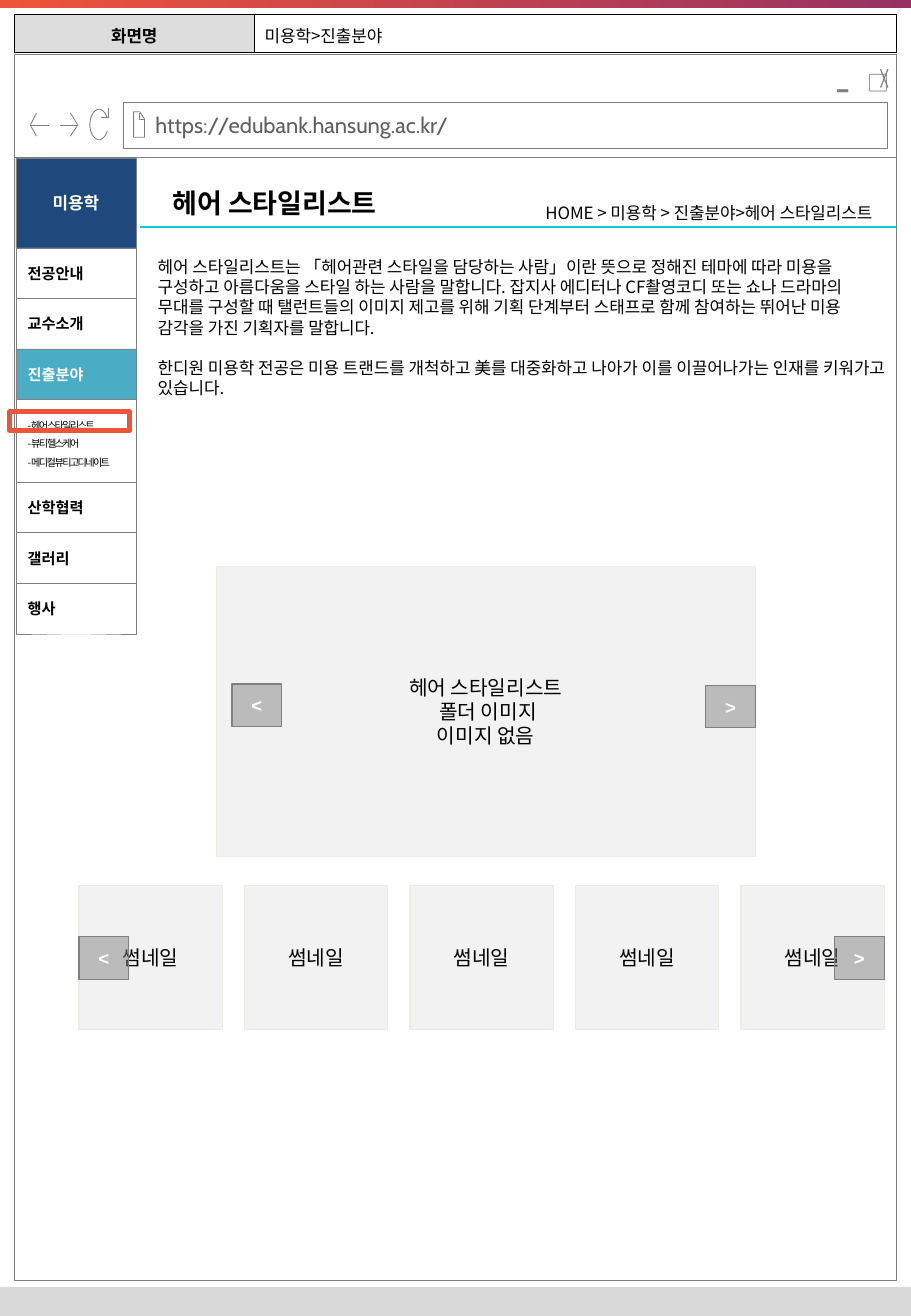
from dataclasses import dataclass
from math import cos, radians, sin

from lxml.etree import SubElement
from pptx import Presentation
from pptx.dml.color import RGBColor as Rgb
from pptx.enum.shapes import MSO_CONNECTOR as Connector, MSO_SHAPE as Preset
from pptx.enum.text import MSO_ANCHOR as Anchor, MSO_AUTO_SIZE as AutoSize, PP_ALIGN as Align
from pptx.oxml.ns import qn
from pptx.util import Inches, Pt


@dataclass(frozen=True)
class Theme:
    font: str = "Noto Sans CJK KR"
    url_font: str = "Cabin"
    arrow_font: str = "Arial"
    black: str = "000000"
    white: str = "FFFFFF"
    grey: str = "808080"
    url_grey: str = "5F5F5F"
    header: str = "DDDDDD"
    footer: str = "D9D9D9"
    panel: str = "F2F2F2"
    panel_edge: str = "EEECE1"
    navy: str = "1F497D"
    active: str = "4BACC6"
    rule: str = "06CFD4"
    orange: str = "EE543A"
    purple: str = "973163"
    title: int = 16
    url: int = 13
    label: int = 12
    arrow: int = 11
    body: int = 10
    menu: int = 9
    submenu: int = 6
    minimise: int = 26


theme = Theme()

# The grid: 750 columns by 1083 rows, each a hundredth of an inch
COLUMNS, ROWS = 750, 1083
CELL = Inches(0.01)
deck = Presentation()
deck.slide_width, deck.slide_height = COLUMNS * CELL, ROWS * CELL
page = deck.slides.add_slide(deck.slide_layouts[5])


def write(frame, *lines, size=theme.body, color=theme.black, font=theme.font, bold=False,
          align=Align.LEFT, leading=None, gap=0, tracking=None):
    for index, line in enumerate(lines):
        para = frame.paragraphs[0] if index == 0 else frame.add_paragraph()
        para.alignment = align
        if leading:
            para.line_spacing = leading
        if index and gap:
            para.space_before = Pt(gap)
        span = para.add_run()
        span.text = line
        span.font.size, span.font.bold = Pt(size), bold
        span.font.color.rgb = Rgb.from_string(color)
        span.font.name = font
        properties = span.font._element
        SubElement(properties, qn("a:ea")).set("typeface", font)
        if tracking:
            properties.set("spc", str(tracking))


def add_box(col, row, cols, rows, fill=None, line=None, weight=0.5, plain=False, anchor=Anchor.MIDDLE):
    area = [int(CELL * length) for length in (col, row, cols, rows)]
    if plain:
        box = page.shapes.add_textbox(*area)
    else:
        box = page.shapes.add_shape(Preset.RECTANGLE, *area)
        box.shadow.inherit = False
    if fill:
        box.fill.solid()
        box.fill.fore_color.rgb = Rgb.from_string(fill)
    else:
        box.fill.background()
    if line:
        box.line.color.rgb = Rgb.from_string(line)
        box.line.width = Pt(weight)
    else:
        box.line.fill.background()
    box.text_frame.word_wrap = True
    box.text_frame.vertical_anchor = anchor
    return box


# Page bands
band = add_box(0, 0, COLUMNS, 7)
band.fill.gradient()
band.fill.gradient_angle = 0
for stop, color in zip(band.fill.gradient_stops, (theme.orange, theme.purple)):
    stop.color.rgb = Rgb.from_string(color)
add_box(0, 1059, COLUMNS, 24, theme.footer)

# Browser window and address bar
add_box(12, 130, 726, 924, theme.white, theme.grey)
add_box(12, 45, 726, 85, theme.white, theme.grey)
address = add_box(102, 84, 629, 38, theme.white, theme.grey)
address.text_frame.margin_left = 26 * CELL
write(address.text_frame, "https://edubank.hansung.ac.kr/", size=theme.url,
      color=theme.url_grey, font=theme.url_font)

# Browser icons, each a list of strokes
reload_arc = [(81.5 + 7.5 * cos(radians(a)), 102.5 + 12.5 * sin(radians(a))) for a in range(25, 336, 10)]
icons = {
    "document": [[(115, 93), (115, 98), (119, 98)],
                 [(110, 92), (110, 113), (119, 113), (119, 98), (115, 92), (110, 92)]],
    "back": [[(30, 112), (25, 103), (30, 93)], [(25, 103), (40, 103)]],
    "forward": [[(58, 93), (64, 103), (58, 112)], [(63, 103), (49, 103)]],
    "reload": [[(89, 89), (89, 97), (83, 97)], reload_arc],
    "close": [[(731, 57), (725, 72)], [(725, 57), (731, 72)]],
}
FINE = 10  # drawing steps per grid cell
for name, strokes in icons.items():
    strokes = [[(x * FINE, y * FINE) for x, y in stroke] for stroke in strokes]
    builder = page.shapes.build_freeform(*strokes[0][0], scale=CELL / FINE)
    builder.add_line_segments(strokes[0][1:], close=False)
    for stroke in strokes[1:]:
        builder.move_to(*stroke[0])
        builder.add_line_segments(stroke[1:], close=False)
    icon = builder.convert_to_shape()
    icon.shadow.inherit = False
    icon.fill.background()
    icon.line.color.rgb = Rgb.from_string(theme.grey)
    icon.line.width = Pt(0.75 if name == "close" else 0.5)

# Window buttons
for symbol, size, area in (("□", theme.url, (705, 41, 19, 43)), ("-", theme.minimise, (675, 22, 39, 76))):
    write(add_box(*area, plain=True).text_frame, symbol, size=size, color=theme.grey,
          align=Align.CENTER, leading=1.5)

# Screen name table
table = page.shapes.add_table(1, 2, 12 * CELL, 12 * CELL, 726 * CELL, 31 * CELL).table
table.first_row = table.horz_banding = False
screen_cells = (("화면명", 197, theme.header, True, Align.CENTER),
                ("미용학>진출분야", 529, theme.white, False, Align.LEFT))
for index, (text, width, fill, bold, align) in enumerate(screen_cells):
    table.columns[index].width = width * CELL
    cell = table.cell(0, index)
    cell.vertical_anchor = Anchor.MIDDLE
    cell.margin_left = cell.margin_right = 9 * CELL
    cell.margin_top = cell.margin_bottom = 7 * CELL
    write(cell.text_frame, text, bold=bold, align=align)
    properties = cell._tc.get_or_add_tcPr()
    for side in ("a:lnL", "a:lnR", "a:lnT", "a:lnB"):
        edge = SubElement(properties, qn(side), w=str(Pt(0.25)))
        SubElement(SubElement(edge, qn("a:solidFill")), qn("a:srgbClr"), val=theme.black)
    cell.fill.solid()
    cell.fill.fore_color.rgb = Rgb.from_string(fill)

# Title, brought in front of the browser window
title = page.shapes.title
title.left, title.top, title.width, title.height = (n * CELL for n in (132, 146, 238, 42))
title.element.getparent().append(title.element)
title.text_frame.auto_size = AutoSize.NONE
title.text_frame.vertical_anchor = Anchor.MIDDLE
write(title.text_frame, "헤어 스타일리스트", size=theme.title, bold=True)

# Title rule and breadcrumb
rule = page.shapes.add_connector(Connector.STRAIGHT, 115 * CELL, 187 * CELL, 738 * CELL, 187 * CELL)
rule.line.color.rgb = Rgb.from_string(theme.rule)
rule.line.width = Pt(1)
SubElement(rule.element.spPr, qn("a:effectLst"))
breadcrumb = add_box(288, 162, 440, 27, plain=True, anchor=Anchor.TOP)
write(breadcrumb.text_frame, "HOME > 미용학 > 진출분야>헤어 스타일리스트", align=Align.RIGHT)

# Image panel and its row of thumbnails
panels = [((178, 466, 444, 239), ("헤어 스타일리스트", " 폴더 이미지", "이미지 없음"))]
panels += [((65 + 136.25 * n, 729, 118, 118), ("썸네일",)) for n in range(5)]
for area, lines in panels:
    panel = add_box(*area, theme.panel, theme.panel_edge, 0.75)
    write(panel.text_frame, *lines, size=theme.label, align=Align.CENTER)

# Previous and next buttons
for symbol, col, row in (("<", 65, 771), (">", 687, 771), ("<", 191, 563), (">", 581, 564)):
    button = add_box(col, row, 41, 35, theme.grey, theme.grey, 0.75)
    SubElement(button.element.spPr.find(qn("a:solidFill"))[0], qn("a:alpha"), val="48000")
    frame = button.text_frame
    frame.word_wrap = False
    frame.margin_left = frame.margin_right = frame.margin_top = frame.margin_bottom = 4 * CELL
    write(frame, symbol, size=theme.arrow, color=theme.white, font=theme.arrow_font,
          bold=True, align=Align.CENTER)

# Description
description = add_box(120, 206, 618, 128, plain=True, anchor=Anchor.TOP)
write(description.text_frame,
      "헤어 스타일리스트는 「헤어관련 스타일을 담당하는 사람」이란 뜻으로 정해진 테마에 따라 미용을 "
      "구성하고 아름다움을 스타일 하는 사람을 말합니다. 잡지사 에디터나 CF촬영코디 또는 쇼나 드라마의 "
      "무대를 구성할 때 탤런트들의 이미지 제고를 위해 기획 단계부터 스태프로 함께 참여하는 뛰어난 미용 "
      "감각을 가진 기획자를 말합니다.",
      "한디원 미용학 전공은 미용 트랜드를 개척하고 美를 대중화하고 나아가 이를 이끌어나가는 인재를 "
      "키워가고 있습니다.", gap=12)

# Side menu, stacked from the top of the window
heading = dict(size=theme.body, color=theme.white, bold=True, align=Align.CENTER)
entry = dict(size=theme.menu, bold=True)
submenu = dict(size=theme.submenu, leading=1.5, tracking=-100)
menu = [(("미용학",), 74, theme.navy, heading),
        (("전공안내",), 41.6, theme.white, entry),
        (("교수소개",), 41.6, theme.white, entry),
        (("진출분야",), 41.6, theme.active, entry | dict(color=theme.white)),
        (("-헤어 스타일리스트", "-뷰티 헬스케어", "-메디컬 뷰티고디네이트"), 68, theme.white, submenu),
        (("산학협력",), 41.6, theme.white, entry),
        (("갤러리",), 41.6, theme.white, entry),
        (("행사",), 41.6, theme.white, entry)]
top = 130
for lines, height, fill, style in menu:
    write(add_box(13, top, 99, height, fill, theme.grey, 0.25).text_frame, *lines, **style)
    top += height

# Marker around the current submenu entry
add_box(8, 339, 99, 15, line=theme.orange, weight=3)

deck.save("out.pptx")
